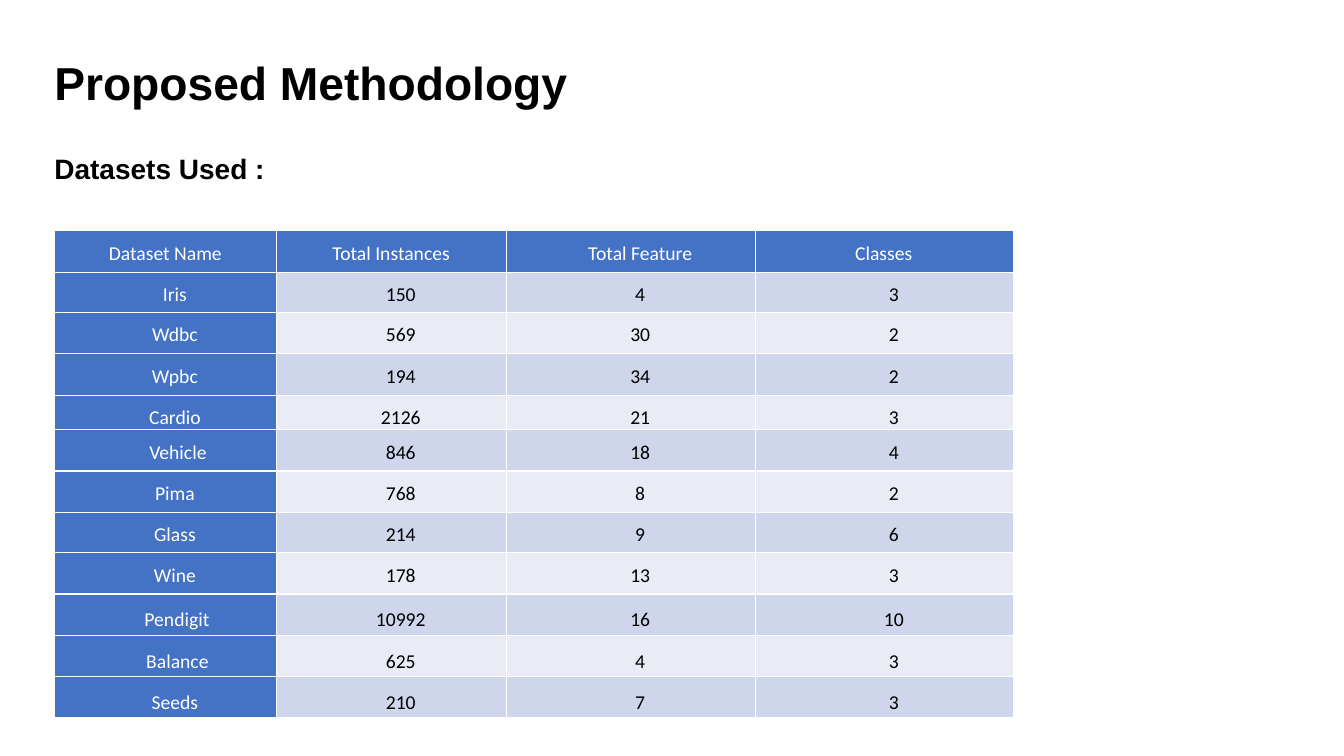
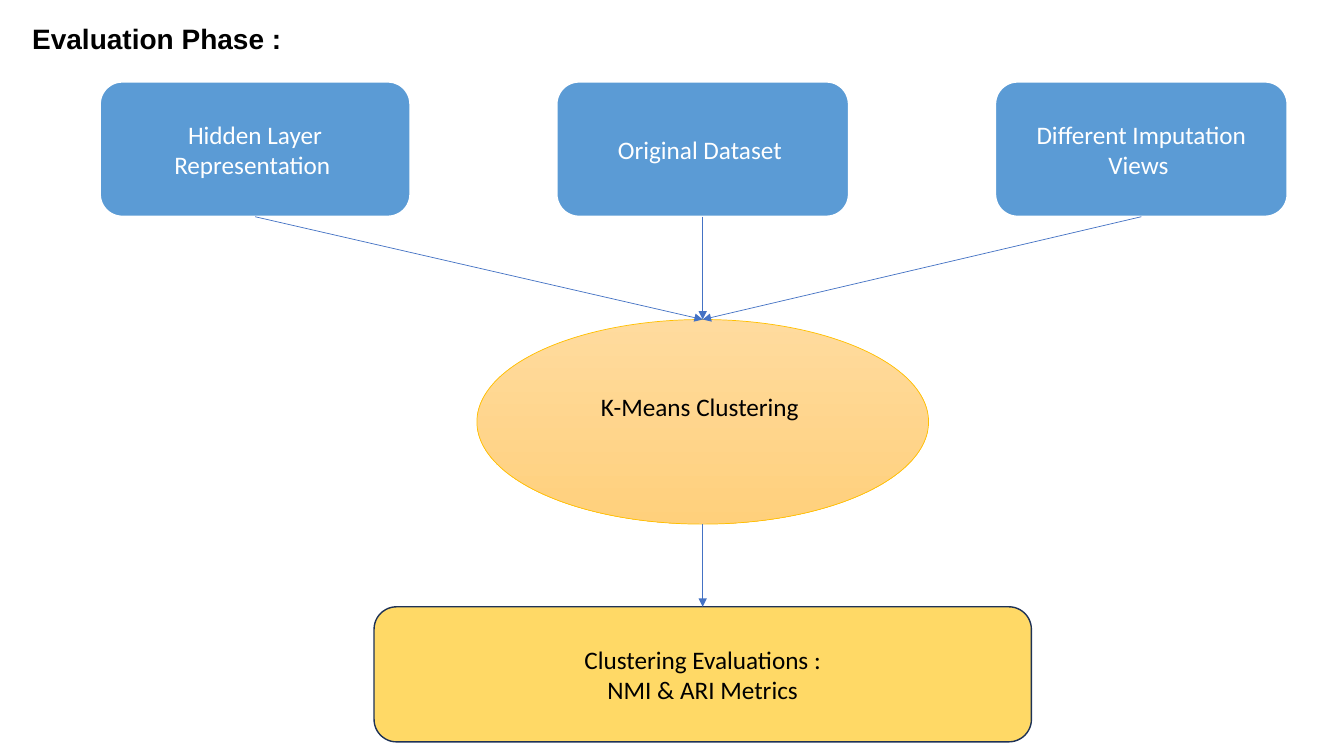
from lxml import etree
from pptx import Presentation
from pptx.dml.color import RGBColor
from pptx.enum.shapes import MSO_CONNECTOR, MSO_SHAPE
from pptx.enum.text import MSO_ANCHOR, MSO_AUTO_SIZE, PP_ALIGN
from pptx.oxml.ns import qn
from pptx.util import Emu, Pt

CENTER = PP_ALIGN.CENTER
LEFT = PP_ALIGN.LEFT
TOP = MSO_ANCHOR.TOP
MIDDLE = MSO_ANCHOR.MIDDLE
FIT_TEXT = MSO_AUTO_SIZE.SHAPE_TO_FIT_TEXT
ROUNDED = MSO_SHAPE.ROUNDED_RECTANGLE
ELLIPSE = MSO_SHAPE.OVAL
STRAIGHT = MSO_CONNECTOR.STRAIGHT
TOP_SITE, BOTTOM_SITE = 0, 2

EMU_PER_PX = 9144
HEADING_FONT, BODY_FONT = "Arial", "Calibri"
BLACK, WHITE = "000000", "FFFFFF"
BLUE, SKY = "4472C4", "5B9BD5"
BANDS = ("CFD5EA", "E9EBF5")
PEACH, APRICOT, AMBER = "FFDB9E", "FFD07C", "FFC000"
YELLOW, NAVY = "FFD966", "1E3256"

COLUMN_WIDTHS = (220, 228, 247, 256)
ROW_HEIGHTS = (41, 40, 41, 41, 34, 41, 41, 40, 41, 41, 41, 41)
FIRST_MIDDLE_ROW = 9
DATASETS = (
    ("Dataset Name", "Total Instances", "Total Feature", "Classes"),
    ("Iris", "150", "4", "3"),
    ("Wdbc", "569", "30", "2"),
    ("Wpbc", "194", "34", "2"),
    ("Cardio", "2126", "21", "3"),
    ("Vehicle", "846", "18", "4"),
    ("Pima", "768", "8", "2"),
    ("Glass", "214", "9", "6"),
    ("Wine", "178", "13", "3"),
    ("Pendigit", "10992", "16", "10"),
    ("Balance", "625", "4", "3"),
    ("Seeds", "210", "7", "3"),
)
USUAL_INDENT = 20
SPECIAL_INDENTS = {
    "Dataset Name": 1, "Total Instances": 1, "Classes": 0,
    "Vehicle": 26, "Pendigit": 24, "Balance": 25,
}


def px(length):
    return Emu(round(length * EMU_PER_PX))


def place(box):
    return [px(length) for length in box]


def rgb(color):
    return RGBColor.from_string(color)


def write(text_frame, text, size, color, font=BODY_FONT, bold=False, align=CENTER):
    text_frame.text = text
    text_frame.word_wrap = True
    for paragraph in text_frame.paragraphs:
        paragraph.alignment = align
        for run in paragraph.runs:
            run.font.name = font
            run.font.size = Pt(size)
            run.font.bold = bold
            run.font.color.rgb = rgb(color)


def add_heading(slide, box, text, size):
    heading = slide.shapes.add_textbox(*place(box))
    write(heading.text_frame, text, size, BLACK, HEADING_FONT, True, LEFT)
    heading.text_frame.auto_size = FIT_TEXT


def add_borders(cell):
    properties = cell._tc.get_or_add_tcPr()
    for side in ("lnL", "lnR", "lnT", "lnB"):
        border = etree.SubElement(properties, qn(f"a:{side}"), w=str(Pt(1)))
        fill = etree.SubElement(border, qn("a:solidFill"))
        etree.SubElement(fill, qn("a:srgbClr"), val=WHITE)


def format_cell(cell, text, row, column):
    label = row == 0 or column == 0
    write(cell.text_frame, text, 14, WHITE if label else BLACK)
    paragraph = cell.text_frame.paragraphs[0]
    paragraph.line_spacing = 1.07
    paragraph.space_after = Pt(0.2)
    indent = SPECIAL_INDENTS.get(text, USUAL_INDENT)
    properties = paragraph._p.get_or_add_pPr()
    properties.set("marL", str(px(indent)))
    properties.set("indent", "0")
    cell.margin_left, cell.margin_top = px(7), px(9)
    cell.margin_right, cell.margin_bottom = px(8), px(0)
    cell.vertical_anchor = MIDDLE if row >= FIRST_MIDDLE_ROW else TOP
    add_borders(cell)
    cell.fill.solid()
    cell.fill.fore_color.rgb = rgb(BLUE if label else BANDS[(row - 1) % 2])


def add_dataset_table(slide, left, top):
    box = (left, top, sum(COLUMN_WIDTHS), sum(ROW_HEIGHTS))
    table = slide.shapes.add_table(
        len(ROW_HEIGHTS), len(COLUMN_WIDTHS), *place(box)).table
    table.horz_banding = False
    for column, width in zip(table.columns, COLUMN_WIDTHS):
        column.width = px(width)
    for row, height in zip(table.rows, ROW_HEIGHTS):
        row.height = px(height)
    for row, values in enumerate(DATASETS):
        for column, text in enumerate(values):
            format_cell(table.cell(row, column), text, row, column)


def add_node(slide, kind, box, text, colors, line_color, line_width, text_color):
    node = slide.shapes.add_shape(kind, *place(box))
    node.shadow.inherit = False
    if len(colors) == 1:
        node.fill.solid()
        node.fill.fore_color.rgb = rgb(colors[0])
    else:
        node.fill.gradient()
        node.fill.gradient_angle = 270
        for stop, color in zip(node.fill.gradient_stops, colors):
            stop.color.rgb = rgb(color)
    node.line.color.rgb = rgb(line_color)
    node.line.width = Pt(line_width)
    node.text_frame.vertical_anchor = MIDDLE
    write(node.text_frame, text, 18, text_color)
    return node


def add_arrow(slide, source, target):
    start = (source.left + source.width // 2, source.top + source.height)
    end = (target.left + target.width // 2, target.top)
    arrow = slide.shapes.add_connector(STRAIGHT, *start, *end)
    if source.auto_shape_type == ROUNDED:
        arrow.begin_connect(source, BOTTOM_SITE)
    arrow.end_connect(target, TOP_SITE)
    arrow.line.color.rgb = rgb(BLUE)
    arrow.line.width = Pt(0.5)
    properties = arrow._element.spPr
    etree.SubElement(properties.find(qn("a:ln")), qn("a:tailEnd"), type="triangle")
    etree.SubElement(properties, qn("a:effectLst"))


def add_evaluation_flow(slide, left, top):
    box_height = 134
    axis = left + 598
    inputs = [
        add_node(slide, ROUNDED, (left + offset, top, width, box_height),
                 text, (SKY,), WHITE, 1.5, WHITE)
        for offset, width, text in (
            (0, 308, "Hidden Layer Representation "),
            (453, 290, "Original Dataset "),
            (888, 290, "Different Imputation Views "),
        )
    ]
    clustering = add_node(
        slide, ELLIPSE, (axis - 224, top + 236, 448, 203),
        "K-Means Clustering ", (PEACH, APRICOT), AMBER, 0.5, BLACK)
    clustering.text_frame.margin_bottom = px(35)
    evaluation = add_node(
        slide, ROUNDED, (axis - 326, top + 521, 652, box_height),
        "Clustering Evaluations :\nNMI & ARI Metrics", (YELLOW,), NAVY, 1, BLACK)
    for source in inputs:
        add_arrow(slide, source, clustering)
    add_arrow(slide, clustering, evaluation)


def build_dataset_slide(slide):
    add_dataset_table(slide, 54, 229)
    add_heading(slide, (44, 145, 635, 44), "Datasets Used :", 20)
    add_heading(slide, (44, 49, 806, 66), "Proposed Methodology", 33)


def build_evaluation_slide(slide):
    add_evaluation_flow(slide, 99, 81)
    add_heading(slide, (22, 16, 605, 44), "Evaluation Phase :", 20)


def main():
    presentation = Presentation()
    presentation.slide_width = px(1333)
    presentation.slide_height = px(750)
    blank = presentation.slide_layouts[6]
    for build in (build_dataset_slide, build_evaluation_slide):
        build(presentation.slides.add_slide(blank))
    presentation.save("out.pptx")


if __name__ == "__main__":
    main()
